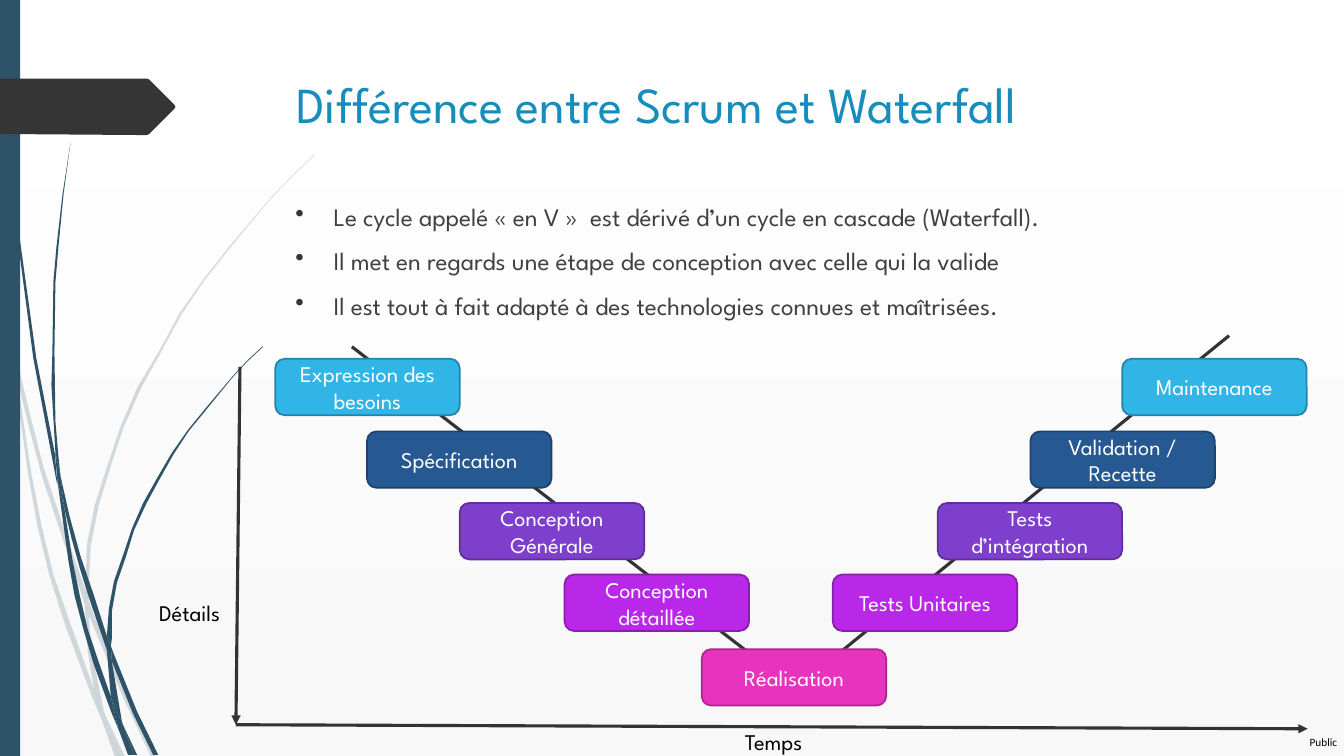
from dataclasses import dataclass
from typing import Optional

from lxml.etree import SubElement
from pptx import Presentation
from pptx.dml.color import RGBColor
from pptx.enum.shapes import MSO_CONNECTOR, MSO_SHAPE
from pptx.enum.text import MSO_ANCHOR, PP_ALIGN
from pptx.oxml.ns import qn
from pptx.util import Inches, Pt

COLORS = {
    "white": "FFFFFF", "mist": "F8F8F8", "petrol": "2E5369", "charcoal": "353535",
    "axis": "333333", "title": "178DBB", "body": "404040", "black": "000000",
    "sky": "31B4E6", "sky_edge": "2485AA", "navy": "265991", "navy_edge": "1C426B",
    "violet": "7E40CC", "violet_edge": "5D2F97", "purple": "B927E9",
    "purple_edge": "891DAC", "pink": "E833BF", "pink_edge": "AC268D",
}
FONT = "League Spartan"
STAGE_WIDTH, STAGE_HEIGHT = 1.83, 0.56
MIRROR_SUM = 13.86

Point = tuple[float, float]


@dataclass(frozen=True)
class Level:
    left: float
    top: float
    color: str
    design: str
    check: Optional[str] = None


@dataclass(frozen=True)
class Label:
    left: float
    top: float
    width: float
    height: float
    text: str
    size: float
    color: str
    font: str = FONT
    margin: Optional[float] = None
    wrap: bool = True


@dataclass(frozen=True)
class Arrow:
    start: Point
    end: Point


LEVELS = [
    Level(2.73, 3.56, "sky", "Expression des besoins", "Maintenance"),
    Level(3.64, 4.28, "navy", "Spécification", "Validation / Recette"),
    Level(4.56, 4.99, "violet", "Conception Générale", "Tests d’intégration"),
    Level(5.6, 5.7, "purple", "Conception détaillée", "Tests Unitaires"),
    Level(6.96, 6.44, "pink", "Réalisation"),
]
V_BRANCHES = [Arrow((12.19, 3.33), (7.93, 6.8)), Arrow((3.49, 3.44), (7.73, 6.71))]
AXES = [Arrow((2.34, 7.19), (12.97, 7.23)), Arrow((2.38, 3.64), (2.34, 7.19))]
HEADING = Label(2.84, 0.68, 9.75, 1.4, "Différence entre Scrum et Waterfall", 36, "title")
KEY_POINTS = Label(
    2.83, 1.95, 9.75, 4.52,
    "Le cycle appelé « en V »  est dérivé d’un cycle en cascade (Waterfall).\n"
    "Il met en regards une étape de conception avec celle qui la valide\n"
    "Il est tout à fait adapté à des technologies connues et maîtrisées.",
    18, "body",
)
AXIS_NAMES = [
    Label(1.48, 5.89, 0.97, 0.37, "Détails", 16, "black"),
    Label(7.29, 7.17, 0.97, 0.37, "Temps", 16, "black"),
]
CLASSIFICATION = Label(12.99, 7.3, 0.3, 0.13, "Public", 8, "black", "Calibri", 0, False)

PALE_WISPS: list[list[Point]] = [
    [(0.11, 3.5), (0.09, 3.22), (0, 2.82), (0, 2.99), (0.1, 3.44)],
    [(0.58, 5.22), (0.84, 5.99), (0.85, 5.86), (0.62, 5.2), (0.43, 4.63), (0.28, 4.04),
     (0.14, 3.45), (0.17, 3.76), (0.29, 4.25), (0.42, 4.74)],
    [(0.92, 6.07), (0.88, 5.96), (0.88, 6.1), (1.23, 6.94), (1.5, 7.51), (1.55, 7.51),
     (1.27, 6.92)],
    [(1.19, 7.51), (1.24, 7.51), (1.05, 7.11)],
    [(0.93, 6.83), (0.7, 6.19), (0.53, 5.7), (0.41, 5.2), (0.31, 4.69), (0.17, 3.76),
     (0.11, 3.5), (0.28, 4.7), (0.37, 5.21), (0.49, 5.71), (0.65, 6.21), (0.92, 6.93),
     (1.01, 7.14), (0.99, 7.07)],
    [(0.84, 5.99), (0.87, 6.46), (0.93, 6.83), (0.96, 6.92), (1.05, 7.11), (1.03, 7.06),
     (0.91, 6.46), (0.88, 6.1), (0.88, 6.08)],
    [(0.88, 5.84), (0.9, 5.42), (0.98, 5.01), (1.1, 4.62), (1.23, 4.23), (1.4, 3.85),
     (1.6, 3.49), (1.8, 3.12), (2.03, 2.78), (2.29, 2.45), (2.68, 1.98), (2.9, 1.75),
     (3.12, 1.54), (3.12, 1.53), (2.89, 1.75), (2.68, 1.97), (2.28, 2.44), (2.02, 2.77),
     (1.78, 3.11), (1.58, 3.48), (1.37, 3.83), (1.2, 4.22), (1.07, 4.61), (0.94, 5.01),
     (0.86, 5.42), (0.85, 5.86), (0.88, 5.96)],
    [(1.01, 7.14), (1.14, 7.51), (1.19, 7.51)],
    [(0.88, 6.08), (0.88, 6.1), (0.88, 5.96), (0.85, 5.86), (0.84, 5.99)],
    [(0.96, 6.92), (0.93, 6.83), (0.99, 7.07), (1.01, 7.14), (1.19, 7.51), (1.05, 7.11)],
]
DARK_WISPS: list[list[Point]] = [
    [(0.07, 1.1), (0.17, 2.33), (0.33, 3.55), (0.56, 4.77), (0.57, 4.81), (0.55, 4.57),
     (0.55, 4.53), (0.36, 3.55), (0.19, 2.32), (0.08, 1.09), (0.05, 0.48), (0.04, 0),
     (0.03, 0), (0.04, 0.48)],
    [(0.88, 5.92), (1.06, 6.45), (1.06, 6.31), (0.93, 5.9), (0.8, 5.52), (0.69, 5.12),
     (0.6, 4.72), (0.64, 5.05), (0.71, 5.34), (0.79, 5.63)],
    [(1.13, 6.49), (1.1, 6.41), (1.11, 6.56), (1.32, 7.08), (1.52, 7.49), (1.57, 7.49),
     (1.36, 7.06)],
    [(1.1, 6.91), (0.98, 6.57), (0.87, 6.24), (0.79, 5.9), (0.72, 5.56), (0.64, 5.05),
     (0.57, 4.77), (0.68, 5.57), (0.74, 5.91), (0.83, 6.25), (0.93, 6.59), (1.11, 7.08),
     (1.17, 7.22), (1.16, 7.17)],
    [(0.6, 4.72), (0.58, 4.53), (0.55, 4.18), (0.54, 3.49), (0.55, 2.8), (0.58, 2.45),
     (0.63, 1.93), (0.7, 1.41), (0.62, 1.93), (0.56, 2.45), (0.53, 2.79), (0.52, 3.49),
     (0.51, 3.82), (0.55, 4.49)],
    [(1.33, 7.49), (1.36, 7.49), (1.22, 7.19)],
    [(0.57, 4.77), (0.64, 5.05), (0.6, 4.72), (0.55, 4.49), (0.55, 4.53)],
    [(1.11, 6.33), (1.11, 6.06), (1.16, 5.78), (1.25, 5.52), (1.33, 5.26), (1.45, 5),
     (1.58, 4.76), (1.72, 4.51), (1.87, 4.28), (2.05, 4.06), (2.31, 3.74), (2.45, 3.59),
     (2.61, 3.44), (2.6, 3.44), (2.45, 3.58), (2.31, 3.73), (2.04, 4.05), (1.86, 4.27),
     (1.7, 4.5), (1.56, 4.74), (1.42, 4.99), (1.31, 5.24), (1.22, 5.51), (1.13, 5.77),
     (1.08, 6.04), (1.06, 6.31), (1.1, 6.41)],
    [(1.17, 7.22), (1.27, 7.49), (1.31, 7.49)],
    [(1.06, 6.45), (1.1, 6.91), (1.16, 7.06), (1.22, 7.19), (1.21, 7.16), (1.11, 6.56)],
    [(1.06, 6.45), (1.11, 6.56), (1.1, 6.41), (1.06, 6.31)],
    [(1.16, 7.06), (1.1, 6.91), (1.16, 7.17), (1.17, 7.22), (1.3, 7.49), (1.33, 7.49),
     (1.22, 7.19)],
]
SIGNPOST: list[Point] = [
    (0, 0.78), (1.46, 0.78), (1.48, 0.79), (1.73, 1.04), (1.74, 1.06), (1.73, 1.08),
    (1.48, 1.33), (1.46, 1.34), (1.36, 1.34), (0, 1.33),
]


def rgb(name: str) -> RGBColor:
    return RGBColor.from_string(COLORS[name])


def paint(shape, color: str, edge: Optional[str] = None) -> None:
    shape.shadow.inherit = False
    shape.fill.solid()
    shape.fill.fore_color.rgb = rgb(color)
    if edge is None:
        shape.line.fill.background()
    else:
        shape.line.color.rgb = rgb(edge)
        shape.line.width = Pt(1.25)


def draw_outline(slide, points: list[Point], color: str, opacity: Optional[int] = None) -> None:
    start, *others = [(Inches(x), Inches(y)) for x, y in points]
    builder = slide.shapes.build_freeform(*start)
    builder.add_line_segments(others, close=True)
    outline = builder.convert_to_shape()
    paint(outline, color)
    if opacity is not None:
        tint = outline._element.spPr.find(qn("a:solidFill")).find(qn("a:srgbClr"))
        SubElement(tint, qn("a:alpha")).set("val", str(opacity * 1000))


def draw_arrow(slide, arrow: Arrow) -> None:
    ends = [Inches(value) for value in arrow.start + arrow.end]
    connector = slide.shapes.add_connector(MSO_CONNECTOR.STRAIGHT, *ends)
    connector.line.color.rgb = rgb("axis")
    connector.line.width = Pt(2.25)
    properties = connector._element.spPr
    SubElement(properties.find(qn("a:ln")), qn("a:tailEnd")).set("type", "triangle")
    SubElement(properties, qn("a:effectLst"))


def style_text(paragraph, font: str, size: float, color: str) -> None:
    for run in paragraph.runs:
        run.font.name = font
        run.font.size = Pt(size)
        run.font.color.rgb = rgb(color)


def draw_label(slide, label: Label, bulleted: bool = False) -> None:
    box = [Inches(v) for v in (label.left, label.top, label.width, label.height)]
    frame = slide.shapes.add_textbox(*box).text_frame
    frame.word_wrap = label.wrap
    if label.margin is not None:
        frame.margin_left = frame.margin_right = Inches(label.margin)
        frame.margin_top = frame.margin_bottom = Inches(label.margin)
    frame.text = label.text
    for index, paragraph in enumerate(frame.paragraphs):
        if bulleted:
            properties = paragraph._p.get_or_add_pPr()
            properties.set("marL", str(Inches(0.38)))
            properties.set("indent", str(-Inches(0.38)))
            tint = SubElement(properties, qn("a:buClr"))
            SubElement(tint, qn("a:srgbClr")).set("val", COLORS["charcoal"])
            SubElement(properties, qn("a:buChar")).set("char", "•")
            if index:
                paragraph.space_before = Pt(10)
        style_text(paragraph, label.font, label.size, label.color)


def draw_stage(slide, left: float, top: float, color: str, name: str) -> None:
    box = [Inches(v) for v in (left, top, STAGE_WIDTH, STAGE_HEIGHT)]
    stage = slide.shapes.add_shape(MSO_SHAPE.ROUNDED_RECTANGLE, *box)
    paint(stage, color, f"{color}_edge")
    frame = stage.text_frame
    frame.word_wrap = True
    frame.vertical_anchor = MSO_ANCHOR.MIDDLE
    frame.text = name
    frame.paragraphs[0].alignment = PP_ALIGN.CENTER
    style_text(frame.paragraphs[0], FONT, 16, "white")


def draw_backdrop(slide) -> None:
    backdrop = slide.background.fill
    backdrop.gradient()
    backdrop.gradient_angle = 270
    for stop, color in zip(backdrop.gradient_stops, ("white", "mist")):
        stop.color.rgb = rgb(color)
    for wisp in PALE_WISPS:
        draw_outline(slide, wisp, "petrol", 20)
    for wisp in DARK_WISPS:
        draw_outline(slide, wisp, "petrol")
    band = slide.shapes.add_shape(MSO_SHAPE.RECTANGLE, 0, 0, Inches(0.2), Inches(7.5))
    paint(band, "petrol")
    draw_label(slide, CLASSIFICATION)
    draw_outline(slide, SIGNPOST, "charcoal")


def main() -> None:
    deck = Presentation()
    deck.slide_width, deck.slide_height = Inches(13.33), Inches(7.5)
    slide = deck.slides.add_slide(deck.slide_layouts[6])
    draw_backdrop(slide)
    for branch in V_BRANCHES:
        draw_arrow(slide, branch)
    draw_label(slide, HEADING)
    draw_label(slide, KEY_POINTS, bulleted=True)
    for level in LEVELS:
        draw_stage(slide, level.left, level.top, level.color, level.design)
        if level.check:
            draw_stage(slide, MIRROR_SUM - level.left, level.top, level.color, level.check)
    for axis in AXES:
        draw_arrow(slide, axis)
    for axis_name in AXIS_NAMES:
        draw_label(slide, axis_name)
    deck.save("out.pptx")


if __name__ == "__main__":
    main()
